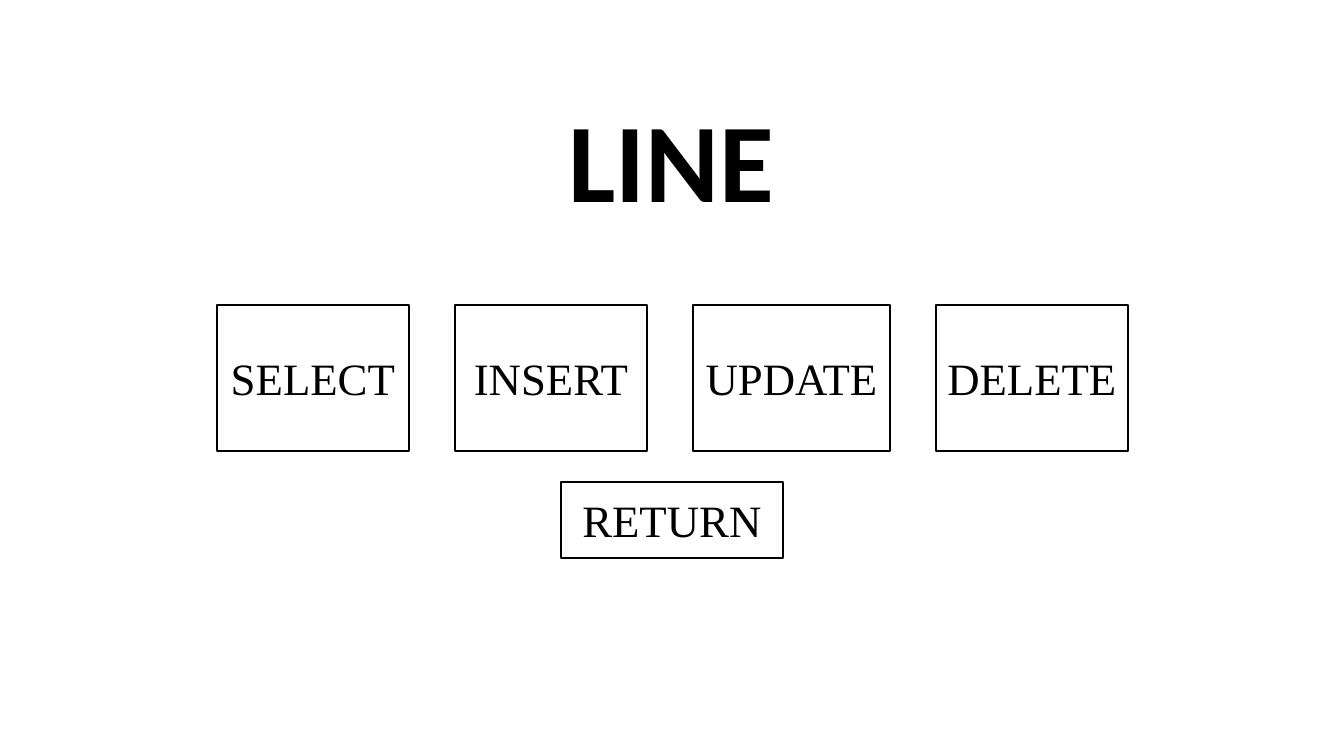
from pptx import Presentation
from pptx import util as u
from pptx.dml import color
from pptx.enum import shapes, text

PX = u.Inches(1) / 100.8
COLOURS = {"paper": "FFFFFF", "ink": "000000"}
TITLE_FONT = {"name": "Calibri", "size": u.Pt(80), "bold": True}
BUTTON_FONT = {"name": "Times New Roman", "size": u.Pt(32), "bold": False}


def px(length):
    return u.Emu(round(length * PX))


def write(box, words, font, anchor):
    frame = box.text_frame
    frame.word_wrap = False
    frame.vertical_anchor = anchor
    para = frame.paragraphs[0]
    para.alignment = text.PP_ALIGN.CENTER
    span = para.add_run()
    span.text = words
    for key, value in font.items():
        setattr(span.font, key, value)
    span.font.color.rgb = color.RGBColor.from_string(COLOURS["ink"])


deck = Presentation()
deck.slide_width, deck.slide_height = px(1344), px(756)
page = deck.slides.add_slide(deck.slide_layouts[5])
page.background.fill.solid()
page.background.fill.fore_color.rgb = color.RGBColor.from_string(COLOURS["paper"])

title = page.shapes.title
title.left, title.top, title.width, title.height = px(160), px(85), px(1023), px(146)
write(title, "LINE", TITLE_FONT, text.MSO_ANCHOR.TOP)
title.text_frame.auto_size = text.MSO_AUTO_SIZE.SHAPE_TO_FIT_TEXT

buttons = []
left, gap = 217, 46
for label, width in [("SELECT", 192), ("INSERT", 192), ("UPDATE", 197), ("DELETE", 192)]:
    buttons.append((label, left, 305, width, 146))
    left += width + gap
buttons.append(("RETURN", 561, 482, 222, 76))

for label, *place in buttons:
    button = page.shapes.add_shape(shapes.MSO_SHAPE.RECTANGLE, *map(px, place))
    button.shadow.inherit = False
    button.fill.background()
    button.line.color.rgb = color.RGBColor.from_string(COLOURS["ink"])
    button.line.width = u.Pt(1)
    write(button, label, BUTTON_FONT, text.MSO_ANCHOR.MIDDLE)

deck.save("out.pptx")
